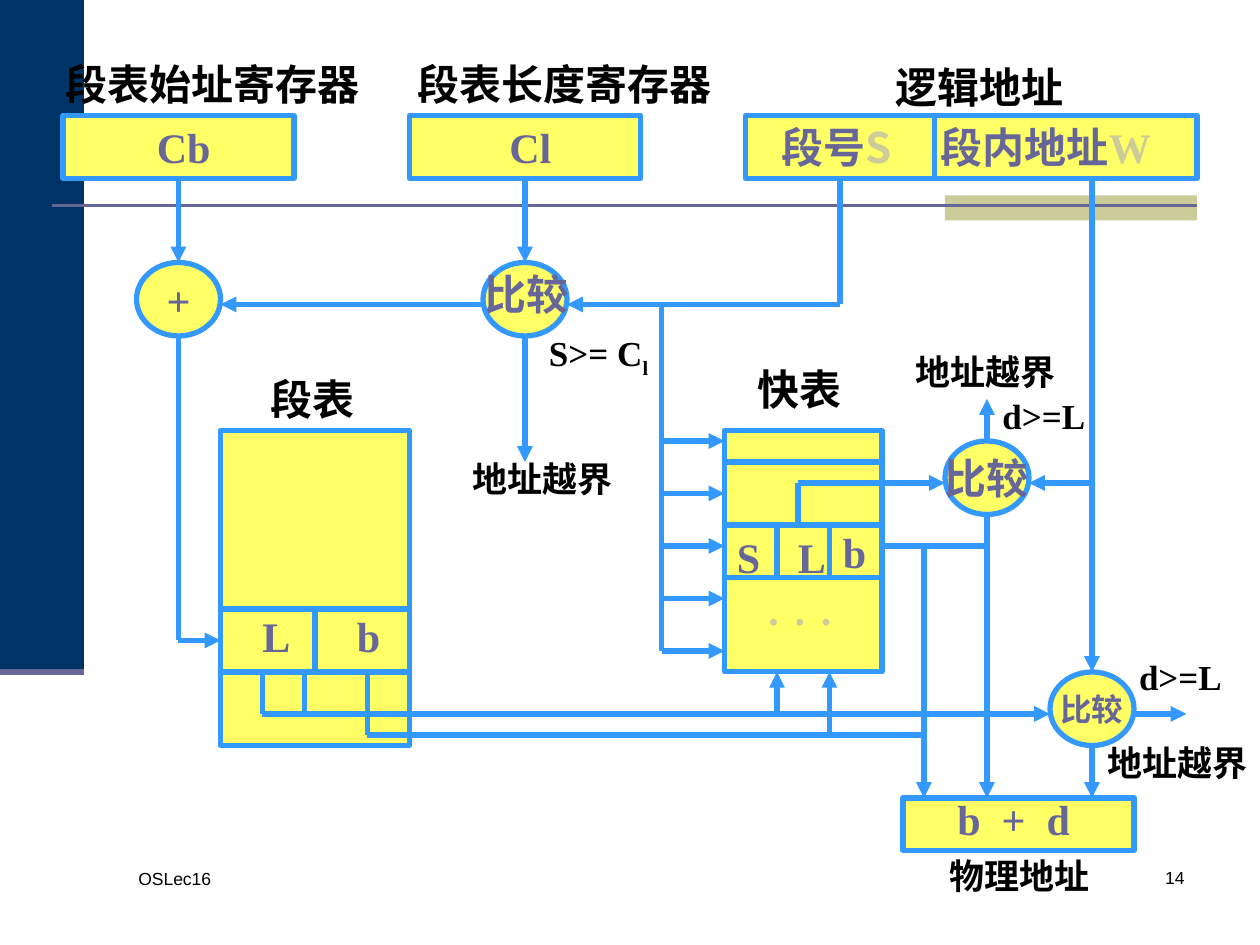
from lxml.etree import SubElement
from pptx import Presentation
from pptx.dml.color import RGBColor
from pptx.enum.shapes import MSO_CONNECTOR, MSO_SHAPE
from pptx.enum.text import MSO_ANCHOR, MSO_AUTO_SIZE, PP_ALIGN
from pptx.oxml.ns import qn
from pptx.util import Pt

SCALE = 7620  # EMU in one px, 120 px to the inch
COLORS = {
    "navy": "003366", "sand": "CCCC99", "slate": "666699",
    "yellow": "FFFF66", "blue": "3399FF", "black": "000000",
}
SERIF, SANS, CJK = "Times New Roman", "Arial", "Noto Sans CJK SC"


def emu(*lengths):
    return [round(length * SCALE) for length in lengths]


def color(name):
    return RGBColor.from_string(COLORS[name])


def add_span(para, text, size=24, ink="slate", font=SERIF, bold=True):
    span = para.add_run()
    span.text = text
    span.font.size = Pt(size)
    span.font.bold = bold
    span.font.color.rgb = color(ink)
    span.font.name = font
    SubElement(span._r.get_or_add_rPr(), qn("a:ea"), typeface=CJK)
    return span


def add_body(page, kind, box, fill="yellow", outline="blue", text=None, size=24):
    """Draw a filled shape, with one centred line of text if any."""
    shape = page.shapes.add_shape(kind, *emu(*box))
    shape.shadow.inherit = False
    shape.fill.solid()
    shape.fill.fore_color.rgb = color(fill)
    if outline:
        shape.line.color.rgb = color(outline)
        shape.line.width = Pt(3)
    else:
        shape.line.fill.background()
    if text:
        frame = shape.text_frame
        frame.word_wrap = False
        frame.vertical_anchor = MSO_ANCHOR.MIDDLE
        frame.paragraphs[0].alignment = PP_ALIGN.CENTER
        add_span(frame.paragraphs[0], text, size)
    return shape


def add_label(page, left, top, width, text, size=24, ink="black"):
    height = 60 if size == 24 else 53
    label = page.shapes.add_textbox(*emu(left, top, width, height))
    label.text_frame.word_wrap = False
    label.text_frame.auto_size = MSO_AUTO_SIZE.SHAPE_TO_FIT_TEXT
    para = label.text_frame.paragraphs[0]
    return para, add_span(para, text, size, ink)


def add_line(page, start, end, ink="blue", weight=3, arrow=False):
    line = page.shapes.add_connector(MSO_CONNECTOR.STRAIGHT, *emu(*start, *end))
    line.line.color.rgb = color(ink)
    line.line.width = Pt(weight)
    if arrow:
        SubElement(line.line._get_or_add_ln(), qn("a:tailEnd"), type="triangle")
    SubElement(line._element.spPr, qn("a:effectLst"))


def add_route(page, *points, arrow=True):
    """Join the points by straight lines; the last one may bear an arrowhead."""
    for index, (start, end) in enumerate(zip(points, points[1:]), 2):
        add_line(page, start, end, arrow=arrow and index == len(points))


def backdrop(page):
    add_body(page, MSO_SHAPE.RECTANGLE, (0, 0, 80, 640), "navy", None)
    add_body(page, MSO_SHAPE.RECTANGLE, (900, 186, 240, 24), "sand", None)
    add_line(page, (50, 196), (1140, 196), "slate", 1.5)
    add_line(page, (0, 640), (80, 640), "slate", 3.5)


def footer(page, left, top, width, text, align):
    box = page.shapes.add_textbox(*emu(left, top, width, 60))
    box.text_frame.word_wrap = True
    para = box.text_frame.paragraphs[0]
    para.alignment = align
    add_span(para, text, 10, "black", SANS, False)


def register(page, left, top, name, title, title_shift):
    add_body(page, MSO_SHAPE.RECTANGLE, (left, top, 220, 60), text=name)
    add_label(page, left + title_shift, top - 60, 306, title)


def logical_address(page, left, top):
    body = add_body(page, MSO_SHAPE.RECTANGLE, (left, top, 430, 60))
    frame = body.text_frame
    frame.word_wrap = True
    frame.vertical_anchor = MSO_ANCHOR.MIDDLE
    frame.margin_left, frame.margin_right = emu(34, 0)
    para = frame.paragraphs[0]
    para.alignment = PP_ALIGN.LEFT
    stops = SubElement(para._p.get_or_add_pPr(), qn("a:tabLst"))
    SubElement(stops, qn("a:tab"), pos=str(152 * SCALE), algn="l")
    add_span(para, "段号")
    add_span(para, "S\t", ink="sand", font=CJK)
    add_span(para, "段内地址")
    add_span(para, "W", ink="sand")
    add_line(page, (left + 180, top), (left + 180, top + 60))
    add_label(page, left + 131, top - 57, 186, "逻辑地址")


def ruled_table(page, left, top, width, height, rules, dividers):
    """Draw a frame with rules at given depths; dividers split the last row."""
    add_body(page, MSO_SHAPE.RECTANGLE, (left, top, width, height))
    for depth in rules:
        add_line(page, (left, top + depth), (left + width, top + depth))
    for shift in dividers:
        add_line(page, (left + shift, top + rules[-2]), (left + shift, top + rules[-1]))


def segment_table(page, left, top):
    ruled_table(page, left, top, 180, 300, (170, 230), (90,))
    add_label(page, left + 36, top - 60, 106, "段表")
    add_label(page, left + 28, top + 166, 50, "L", ink="slate")
    add_label(page, left + 118, top + 166, 46, "b", ink="slate")


def fast_table(page, left, top):
    ruled_table(page, left, top, 150, 230, (30, 90, 140), (50, 100))
    add_label(page, left + 20, top - 70, 106, "快表")
    for shift, depth, width, name in ((0, 90, 46, "S"), (58, 90, 50, "L"), (101, 86, 46, "b")):
        add_label(page, left + shift, top + depth, width, name, ink="slate")
    for step in range(3):
        add_label(page, left + 30 + 25 * step, top + 140, 34, ".", ink="sand")


def physical_address(page, left, top):
    add_body(page, MSO_SHAPE.RECTANGLE, (left, top, 220, 50))
    _, total = add_label(page, left + 40, top - 10, 131, "b + d", ink="slate")
    total._r.get_or_add_rPr().set("spc", "300")
    add_label(page, left + 32, top + 48, 160, "物理地址", 20)


def operator(page, left, top, text=None, size=24):
    add_body(page, MSO_SHAPE.OVAL, (left, top, 80, 70), text=text, size=size)


def wiring(page):
    add_route(page, (170, 170), (170, 250))
    add_route(page, (170, 320), (170, 610), (210, 610))
    add_route(page, (500, 170), (500, 250))
    add_route(page, (500, 320), (500, 440))
    add_route(page, (460, 290), (210, 290))
    add_route(page, (800, 170), (800, 290), (540, 290))
    add_route(page, (630, 290), (630, 620), arrow=False)
    for level in range(420, 621, 50):
        add_route(page, (630, level), (690, level))
    add_route(page, (1040, 170), (1040, 640))
    add_route(page, (1040, 460), (980, 460))
    add_route(page, (760, 500), (760, 460), (900, 460))
    add_route(page, (940, 420), (940, 380))
    add_route(page, (940, 490), (940, 760))
    add_route(page, (840, 520), (940, 520), arrow=False)
    add_route(page, (840, 520), (880, 520), (880, 760))
    add_route(page, (250, 640), (250, 680), (1000, 680))
    add_route(page, (290, 640), (290, 680), arrow=False)
    add_route(page, (350, 640), (350, 700), (880, 700), arrow=False)
    add_route(page, (740, 680), (740, 640))
    add_route(page, (790, 700), (790, 640))
    add_route(page, (1040, 710), (1040, 760))
    add_route(page, (1080, 680), (1130, 680))


def conditions(page):
    para, _ = add_label(page, 511, 310, 119, "S>= C", 20)
    subscript = add_span(para, "l", 20, "black")
    subscript._r.get_or_add_rPr().set("baseline", "-25000")
    for left, top in ((943, 370), (1073, 618)):
        add_label(page, left, top, 103, "d>=L", 20)
    for left, top in ((438, 430), (860, 328), (1043, 700)):
        add_label(page, left, top, 160, "地址越界", 20)


def main():
    deck = Presentation()
    deck.slide_width, deck.slide_height = emu(1200, 900)
    page = deck.slides.add_slide(deck.slide_layouts[6])
    backdrop(page)
    footer(page, 120, 821, 260, "OSLec16", PP_ALIGN.LEFT)
    footer(page, 890, 820, 250, "14", PP_ALIGN.RIGHT)
    register(page, 60, 110, " Cb", "段表始址寄存器", -9)
    register(page, 390, 110, " Cl", "段表长度寄存器", -4)
    logical_address(page, 710, 110)
    segment_table(page, 210, 410)
    fast_table(page, 690, 410)
    physical_address(page, 860, 760)
    operator(page, 130, 250, "+")
    operator(page, 460, 250)
    operator(page, 900, 420, "比较")
    operator(page, 1000, 640, "比较", 18)
    wiring(page)
    conditions(page)
    add_label(page, 450, 250, 106, "比较", ink="slate")
    deck.save("out.pptx")


if __name__ == "__main__":
    main()
